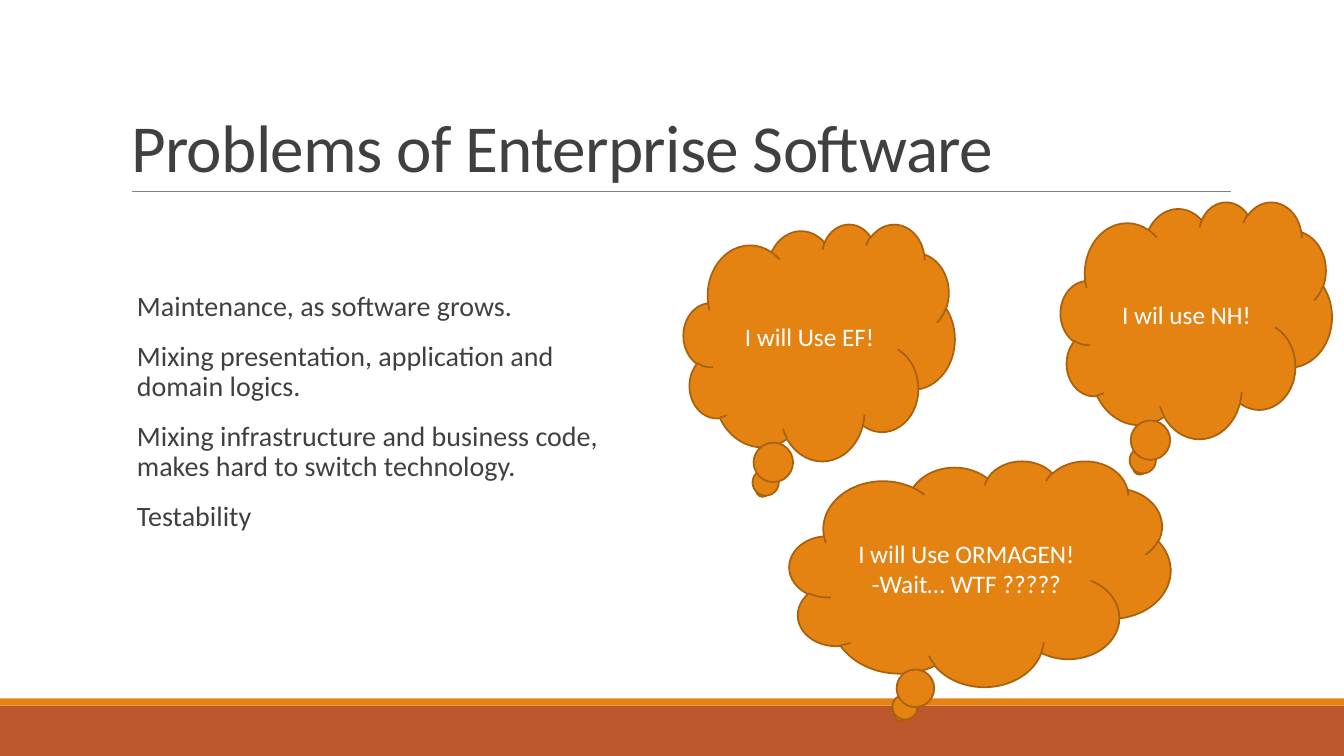
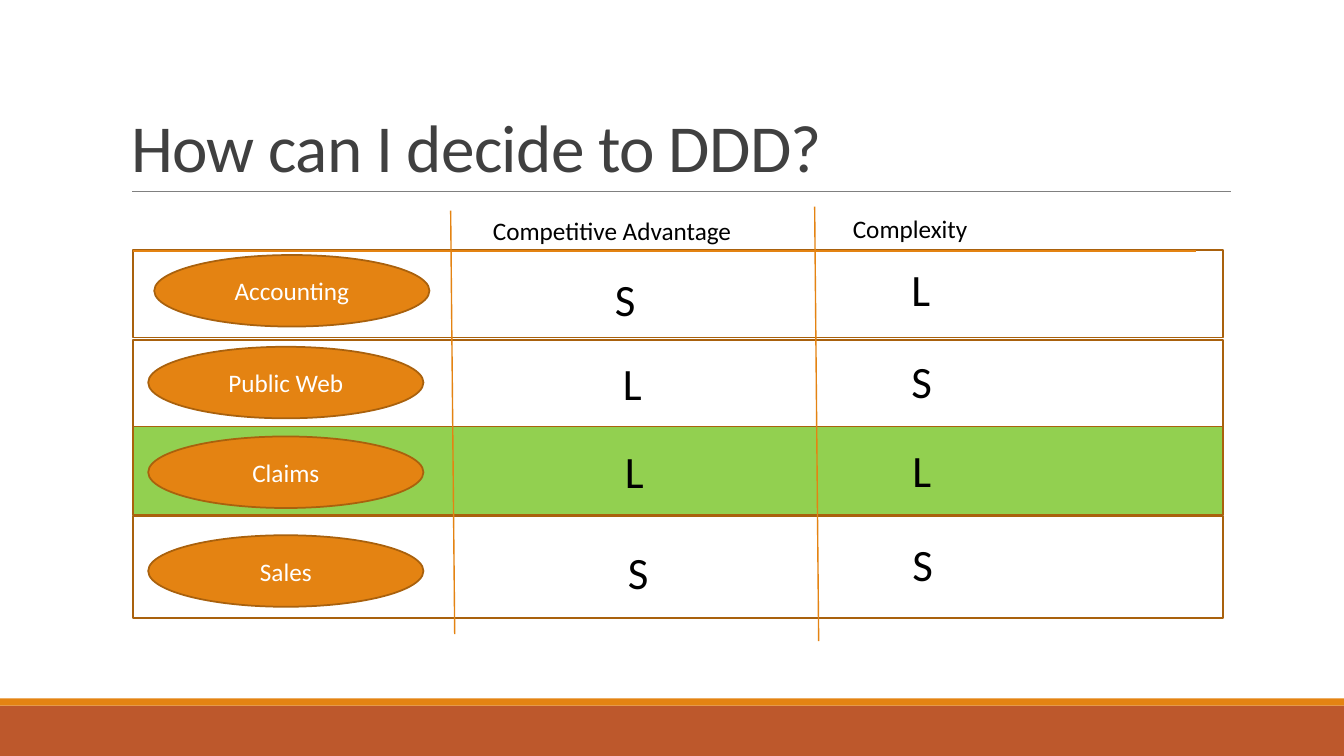
from lxml import etree
from pptx import Presentation
from pptx import util as u
from pptx.dml.color import RGBColor
from pptx.enum import shapes, text
from pptx.oxml.ns import qn

FONT = "Calibri"
COLORS = {
    "orange": "E48312", "outline": "A9610D", "rust": "BD582C",
    "rule": "808080", "heading": "404040", "green": "92D050",
    "white": "FFFFFF", "black": "000000",
}
SHAPE = shapes.MSO_SHAPE
WIDTH, HEIGHT = 13.33, 7.5


def rgb(name):
    return RGBColor.from_string(COLORS[name])


def box(left, top, width, height):
    return [u.Inches(v) for v in (left, top, width, height)]


def style(p, size, color):
    p.font.name = FONT
    p.font.size = u.Pt(size)
    p.font.color.rgb = rgb(color)


def write(tf, lines, size, color, align=text.PP_ALIGN.LEFT):
    for i, line in enumerate(lines):
        p = tf.paragraphs[0] if i == 0 else tf.add_paragraph()
        p.text = line
        p.alignment = align
        style(p, size, color)


def add_shape(s, kind, at, fill, outline=None, lines=()):
    sp = s.shapes.add_shape(kind, *box(*at))
    sp.shadow.inherit = False
    sp.fill.solid()
    sp.fill.fore_color.rgb = rgb(fill)
    if outline:
        sp.line.color.rgb = rgb(outline)
        sp.line.width = u.Pt(1.25)
    else:
        sp.line.fill.background()
    if lines:
        sp.text_frame.vertical_anchor = text.MSO_ANCHOR.MIDDLE
        write(sp.text_frame, lines, 18, "white", text.PP_ALIGN.CENTER)
    return sp


def add_line(s, start, end, color, width):
    line = s.shapes.add_connector(shapes.MSO_CONNECTOR.STRAIGHT,
                                  *[u.Inches(v) for v in (*start, *end)])
    line.line.color.rgb = rgb(color)
    line.line.width = u.Pt(width)
    etree.SubElement(line._element.spPr, qn("a:effectLst"))


def add_text(s, at, lines, size, color="black", wrap=True):
    tf = s.shapes.add_textbox(*box(*at)).text_frame
    tf.word_wrap = wrap
    write(tf, lines, size, color)
    return tf


def add_slide(prs, title):
    """Add a slide with the shared bands, title and title rule."""
    s = prs.slides.add_slide(prs.slide_layouts[5])
    add_shape(s, SHAPE.RECTANGLE, (0, 7, WIDTH, 0.5), "rust")
    add_shape(s, SHAPE.RECTANGLE, (0, 6.93, WIDTH, 0.07), "orange")
    add_line(s, (1.31, 1.9), (12.21, 1.9), "rule", 0.5)
    sp = s.shapes.title
    sp.left, sp.top, sp.width, sp.height = box(1.2, 0.31, 11, 1.59)
    tf = sp.text_frame
    tf.auto_size = text.MSO_AUTO_SIZE.NONE
    tf.vertical_anchor = text.MSO_ANCHOR.BOTTOM
    write(tf, [title], 48, "heading")
    p = tf.paragraphs[0]
    p.line_spacing = 0.85
    p.font._rPr.set("spc", "-50")
    return s


def build_problems(prs):
    s = add_slide(prs, "Problems of Enterprise Software")
    tf = add_text(s, (1.26, 2.85, 4.98, 3.74), [
        "Maintenance, as software grows.",
        "Mixing presentation, application and domain logics.",
        "Mixing infrastructure and business code, makes hard to switch technology.",
        "Testability",
    ], 20, "heading")
    tf.margin_right = 0
    for i, p in enumerate(tf.paragraphs):
        p.line_spacing = 0.9
        p.space_before = u.Pt(12 if i else 0)
        p.space_after = u.Pt(2)

    for at, lines in [
        ((6.78, 2.22, 2.69, 2.35), ["I will Use EF!"]),
        ((10.52, 2, 2.69, 2.35), ["I wil use NH!"]),
        ((7.83, 4.57, 3.78, 2.24), ["I will Use ORMAGEN!", "-Wait… WTF ?????"]),
    ]:
        add_shape(s, SHAPE.CLOUD_CALLOUT, at, "orange", "outline", lines)


def build_decision(prs):
    s = add_slide(prs, "How can I decide to DDD?")
    # name, row top, row height, fill, oval position, (mark, left, top) per column
    rows = [
        ("Accounting", 2.48, 0.87, "white", (1.53, 2.53),
         [("S", 6, 2.65), ("L", 8.94, 2.55)]),
        ("Public Web", 3.37, 0.88, "white", (1.47, 3.44),
         [("L", 6.08, 3.48), ("S", 8.94, 3.46)]),
        ("Claims", 4.23, 0.88, "green", (1.47, 4.33),
         [("L", 6.1, 4.35), ("L", 8.95, 4.34)]),
        ("Sales", 5.12, 1.01, "white", (1.47, 5.31),
         [("S", 6.13, 5.35), ("S", 8.95, 5.28)]),
    ]
    for name, top, height, fill, oval, marks in rows:
        add_shape(s, SHAPE.RECTANGLE, (1.32, top, 10.81, height), fill, "outline")
        add_shape(s, SHAPE.OVAL, (*oval, 2.73, 0.71), "orange", "outline", [name])
        for mark, left, mark_top in marks:
            add_text(s, (left, mark_top, 0.59, 0.64), [mark], 32)

    for start, end in [((4.47, 2.09), (4.51, 6.29)),
                       ((8.08, 2.05), (8.12, 6.36)),
                       ((1.32, 2.49), (11.86, 2.49))]:
        add_line(s, start, end, "orange", 1)
    add_text(s, (4.79, 2.09, 2.6, 0.4), ["Competitive Advantage"], 18, wrap=False)
    add_text(s, (8.36, 2.07, 1.35, 0.4), ["Complexity"], 18, wrap=False)


def main():
    prs = Presentation()
    prs.slide_width, prs.slide_height = u.Inches(WIDTH), u.Inches(HEIGHT)
    build_problems(prs)
    build_decision(prs)
    prs.save("out.pptx")


if __name__ == "__main__":
    main()
